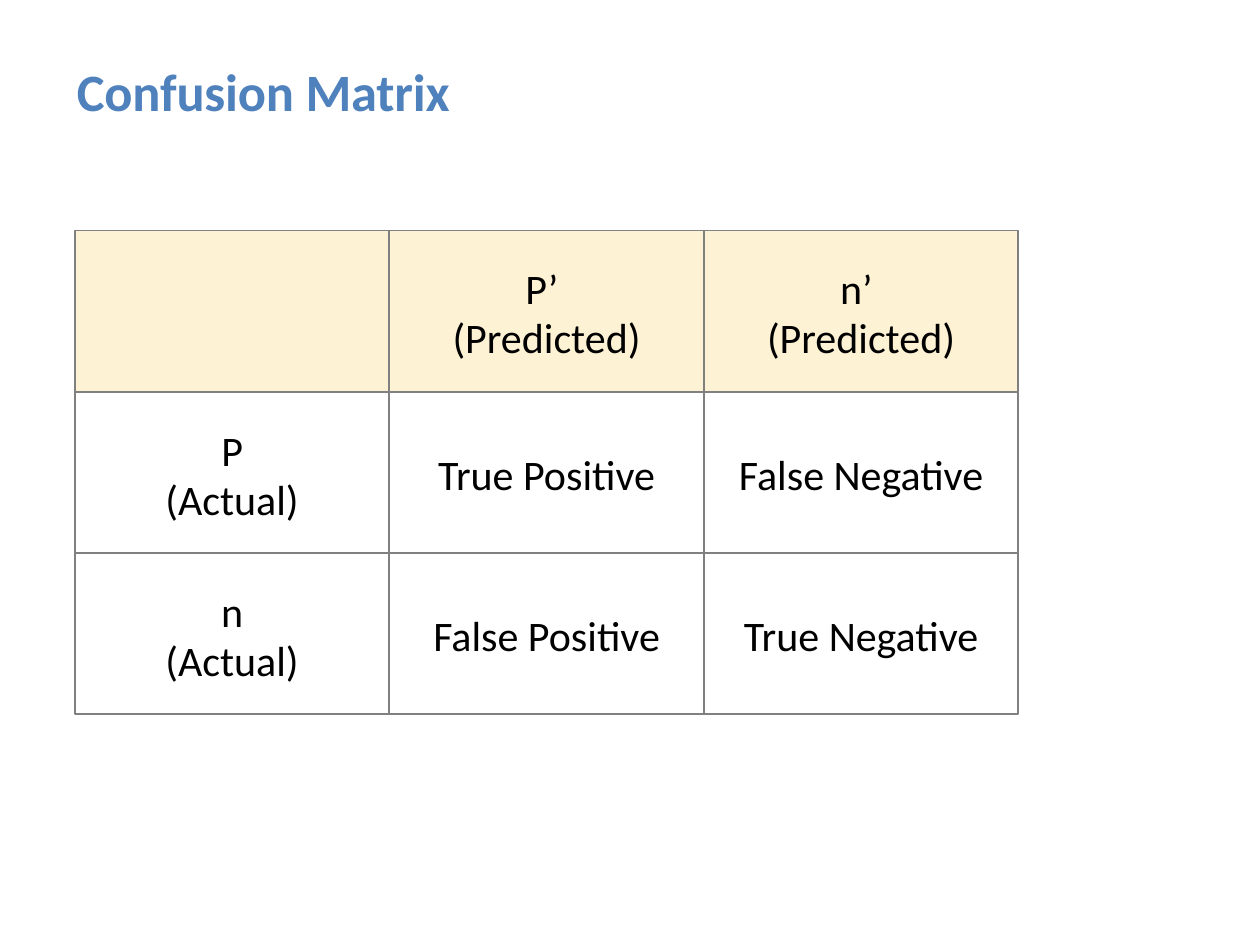
from dataclasses import dataclass

from pptx import Presentation
from pptx import util as u
from pptx.dml.color import RGBColor
from pptx.enum import shapes, text


@dataclass(frozen=True)
class Theme:
    font: str = "Calibri"
    title_size: int = 30
    cell_size: int = 24
    cell_line_spacing: float = 0.97
    title_tracking: int = -10
    border_width: int = 1
    title: str = "4F81BD"
    ink: str = "000000"
    border: str = "808080"
    header: str = "FDF2D4"
    body: str = "FFFFFF"


def write_text(frame, content, *, font, size, color, bold=False,
               align=text.PP_ALIGN.LEFT, line_spacing=None, tracking=0):
    for index, line in enumerate(content.split("\n")):
        paragraph = frame.add_paragraph() if index else frame.paragraphs[0]
        paragraph.alignment = align
        paragraph.line_spacing = line_spacing
        run = paragraph.add_run()
        run.text = line
        run.font.name = font
        run.font.size = u.Pt(size)
        run.font.bold = bold
        run.font.color.rgb = RGBColor.from_string(color)
        if tracking:
            run._r.get_or_add_rPr().set("spc", str(tracking))


class SlideBuilder:
    def __init__(self, slide, theme):
        self.slide = slide
        self.theme = theme

    def title(self, content, left, top, width, height):
        box = self.slide.shapes.add_textbox(left, top, width, height)
        frame = box.text_frame
        frame.word_wrap = True
        frame.margin_left = frame.margin_right = 0
        frame.margin_top = frame.margin_bottom = 0
        write_text(frame, content, font=self.theme.font,
                   size=self.theme.title_size, color=self.theme.title,
                   bold=True, tracking=self.theme.title_tracking)

    def matrix(self, rows, left, top, cell_width, cell_height):
        group = self.slide.shapes.add_group_shape()
        for row_index, row in enumerate(rows):
            fill = self.theme.body if row_index else self.theme.header
            for column_index, content in enumerate(row):
                self.cell(group, content, fill,
                          left + column_index * cell_width,
                          top + row_index * cell_height,
                          cell_width, cell_height)

    def cell(self, group, content, fill, left, top, width, height):
        shape = group.shapes.add_shape(
            shapes.MSO_SHAPE.RECTANGLE, left, top, width, height)
        shape.shadow.inherit = False
        shape.fill.solid()
        shape.fill.fore_color.rgb = RGBColor.from_string(fill)
        shape.line.color.rgb = RGBColor.from_string(self.theme.border)
        shape.line.width = u.Pt(self.theme.border_width)
        frame = shape.text_frame
        frame.word_wrap = True
        frame.vertical_anchor = text.MSO_ANCHOR.MIDDLE
        frame.margin_left = frame.margin_right = u.Cm(0.2)
        frame.margin_top, frame.margin_bottom = u.Cm(0.27), u.Cm(0.13)
        if content:
            write_text(frame, content, font=self.theme.font,
                       size=self.theme.cell_size, color=self.theme.ink,
                       align=text.PP_ALIGN.CENTER,
                       line_spacing=self.theme.cell_line_spacing)


def main():
    presentation = Presentation()
    presentation.slide_width = u.Cm(25.4)
    presentation.slide_height = u.Cm(19.05)
    slide = presentation.slides.add_slide(presentation.slide_layouts[6])
    builder = SlideBuilder(slide, Theme())
    builder.title("Confusion Matrix", u.Cm(1.55), u.Cm(1.19), u.Cm(22.35), u.Cm(1.27))
    builder.matrix(
        [
            ["", "P’ \n(Predicted)", "n’ \n(Predicted)"],
            ["P\n(Actual)", "True Positive", "False Negative"],
            ["n\n(Actual)", "False Positive", "True Negative"],
        ],
        u.Cm(1.51), u.Cm(4.65), u.Cm(6.34), u.Cm(3.25))
    presentation.save("out.pptx")


if __name__ == "__main__":
    main()
